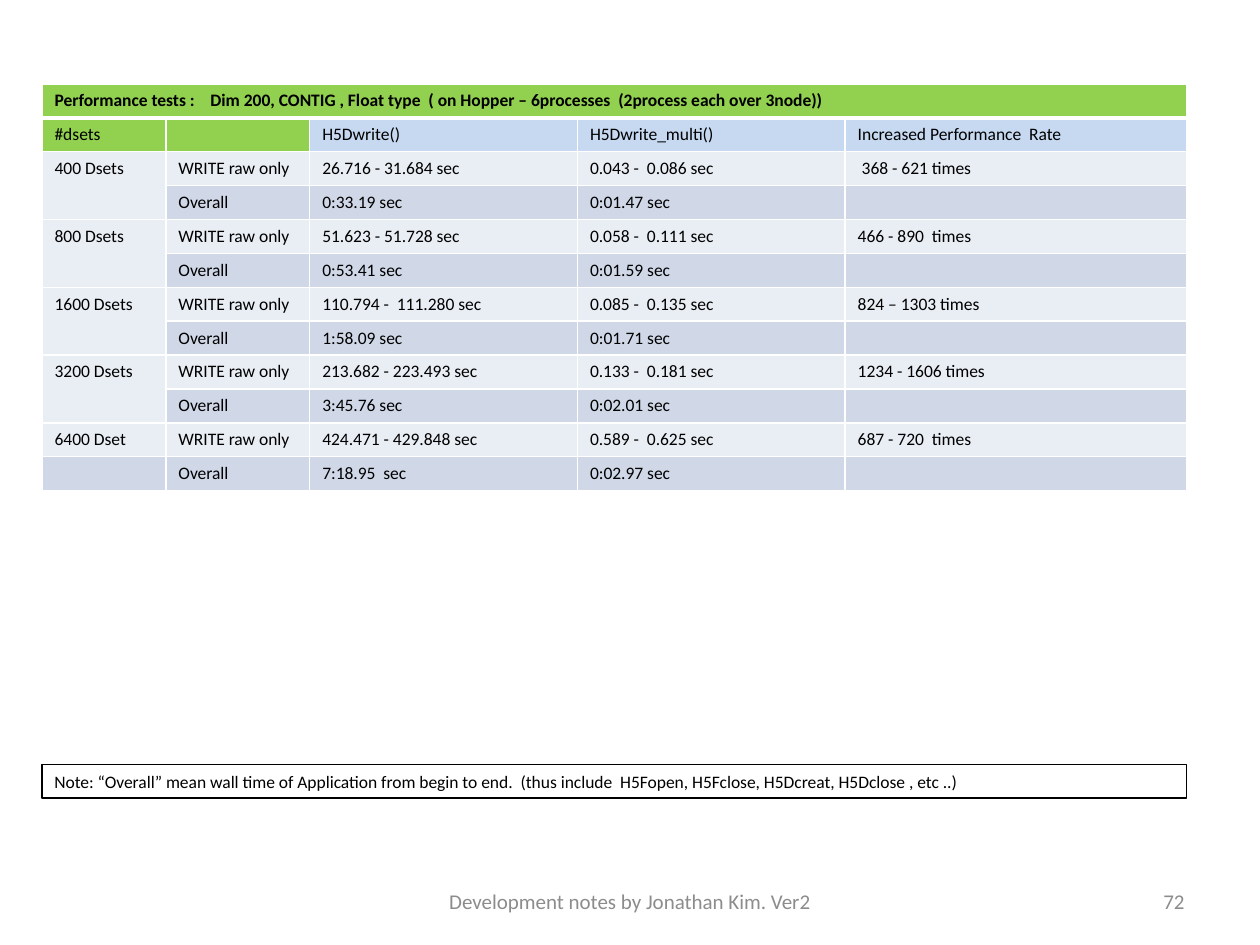
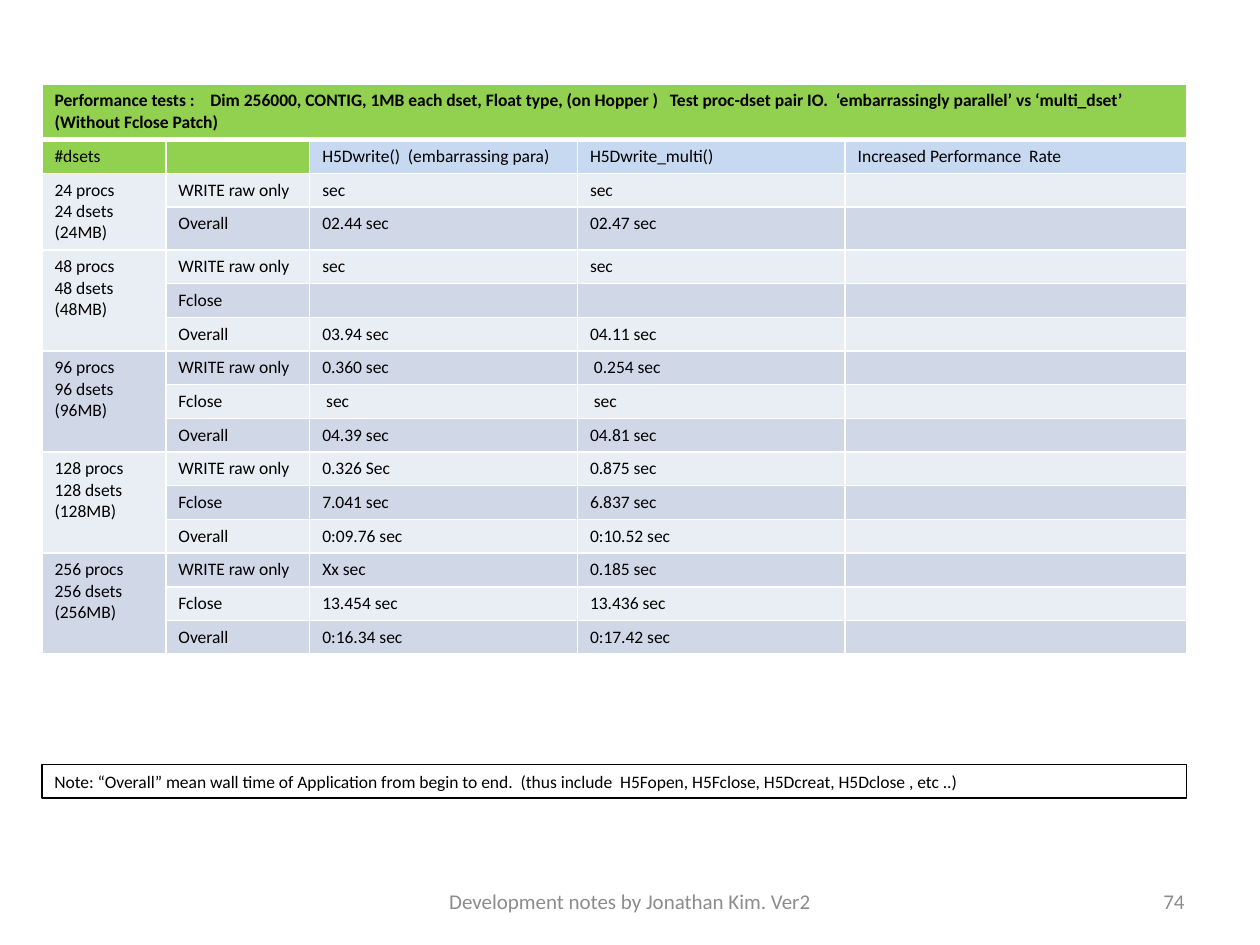
import pptx
import pptx.util
import pptx.dml.color
import pptx.enum.shapes
import pptx.enum.text
import pptx.oxml
import pptx.oxml.ns
from lxml import etree

RGBColor = pptx.dml.color.RGBColor
PP_ALIGN = pptx.enum.text.PP_ALIGN
MSO_ANCHOR = pptx.enum.text.MSO_ANCHOR
qn = pptx.oxml.ns.qn

BLACK = RGBColor(0x00, 0x00, 0x00)
WHITE = RGBColor(0xFF, 0xFF, 0xFF)
GREY = RGBColor(0x8C, 0x8C, 0x8C)
GREEN = RGBColor(0x92, 0xD0, 0x50)
SKY = RGBColor(0xC6, 0xD9, 0xF1)
BANDS = (RGBColor(0xE9, 0xED, 0xF4), RGBColor(0xD0, 0xD8, 0xE8))
FONT = "Calibri"

SLIDE_W, SLIDE_H = pptx.util.Inches(10), pptx.util.Inches(7.5)
UNIT = SLIDE_W / 120
ROW = 3.2
COLUMNS = (11.8, 13.7, 25.5, 25.5, 32.5)
TABLE_AT = (4, 8)
NOTE_BOX = (4, 72.8, 109, ROW)
FOOTER_BOX = (41, 83.4, 38, 4.8)
NUMBER_BOX = (86, 83.4, 28, 4.8)

NOTE = ("Note: “Overall” mean wall time of Application from begin to end.  "
        "(thus include  H5Fopen, H5Fclose, H5Dcreat, H5Dclose , etc ..)")
FOOTER = "Development notes by Jonathan Kim. Ver2"
RAW, FCLOSE, OVERALL = "WRITE raw only", "Fclose", "Overall"

DSET_TEST = {
    "number": "72",
    "title": "Performance tests :    Dim 200, CONTIG , Float type  "
             "( on Hopper – 6processes  (2process each over 3node))",
    "write": "H5Dwrite()",
    "tall": {},
    "groups": [
        ("400 Dsets", [(RAW, "26.716 - 31.684 sec", "0.043 -  0.086 sec", " 368 - 621 times"),
                       (OVERALL, "0:33.19 sec", "0:01.47 sec", "")]),
        ("800 Dsets", [(RAW, "51.623 - 51.728 sec", "0.058 -  0.111 sec", "466 - 890  times"),
                       (OVERALL, "0:53.41 sec", "0:01.59 sec", "")]),
        ("1600 Dsets", [(RAW, "110.794 -  111.280 sec", "0.085 -  0.135 sec", "824 – 1303 times"),
                        (OVERALL, "1:58.09 sec", "0:01.71 sec", "")]),
        ("3200 Dsets", [(RAW, "213.682 - 223.493 sec", "0.133 -  0.181 sec", "1234 - 1606 times"),
                        (OVERALL, "3:45.76 sec", "0:02.01 sec", "")]),
        ("6400 Dset", [(RAW, "424.471 - 429.848 sec", "0.589 -  0.625 sec", "687 - 720  times")]),
        ("", [(OVERALL, "7:18.95  sec", "0:02.97 sec", "")]),
    ],
}

PROC_TEST = {
    "number": "74",
    "title": "Performance tests :    Dim 256000, CONTIG, 1MB each dset, Float type, (on Hopper )   "
             "Test proc-dset pair IO.  ‘embarrassingly parallel’ vs ‘multi_dset’  (Without Fclose Patch)",
    "write": "H5Dwrite()  (embarrassing para)",
    "tall": {0: 5.3, 3: 4.1},
    "groups": [
        ("24 procs\n24 dsets\n(24MB)", [(RAW, "sec", "sec", ""),
                                        (OVERALL, "02.44 sec", "02.47 sec", "")]),
        ("48 procs\n48 dsets\n(48MB)", [(RAW, "sec", "sec", ""),
                                        (FCLOSE, "", "", ""),
                                        (OVERALL, "03.94 sec", "04.11 sec", "")]),
        ("96 procs\n96 dsets\n(96MB)", [(RAW, "0.360 sec", " 0.254 sec", ""),
                                        (FCLOSE, " sec", " sec", ""),
                                        (OVERALL, "04.39 sec", "04.81 sec", "")]),
        ("128 procs 128 dsets\n(128MB)", [(RAW, "0.326 Sec", "0.875 sec", ""),
                                          (FCLOSE, "7.041 sec", "6.837 sec", ""),
                                          (OVERALL, "0:09.76 sec", "0:10.52 sec", "")]),
        ("256 procs\n256 dsets\n(256MB)", [(RAW, "Xx sec", "0.185 sec", ""),
                                           (FCLOSE, "13.454 sec", "13.436 sec", ""),
                                           (OVERALL, "0:16.34 sec", "0:17.42 sec", "")]),
    ],
}


def units(*values):
    """Turn grid units into whole EMU lengths."""
    return [pptx.util.Emu(round(v * UNIT)) for v in values]


def write(tf, text, size=10, color=BLACK, bold=False, align=None, anchor=None):
    """Fill a text frame, one paragraph for each line of text."""
    tf.word_wrap = True
    if anchor is not None:
        tf.vertical_anchor = anchor
    for i, line in enumerate(text.split("\n")):
        p = tf.add_paragraph() if i else tf.paragraphs[0]
        p.alignment = align
        if not line:
            etree.SubElement(p._p, qn("a:endParaRPr"), sz=str(size * 100))
            continue
        r = p.add_run()
        r.text = line
        r.font.name, r.font.size, r.font.bold = FONT, pptx.util.Pt(size), bold
        r.font.color.rgb = color


def set_borders(cell, top=1, bottom=1):
    """Draw white borders round a cell, widths in points."""
    tcPr = cell._tc.get_or_add_tcPr()
    for side, width in (("L", 1), ("R", 1), ("T", top), ("B", bottom)):
        ln = etree.SubElement(tcPr, qn(f"a:ln{side}"), w=str(pptx.util.Pt(width)))
        fill = etree.SubElement(ln, qn("a:solidFill"))
        etree.SubElement(fill, qn("a:srgbClr"), val=str(WHITE))


def fill_cell(cell, text, color, bold=False, **borders):
    """Give a cell its borders, fill and text."""
    set_borders(cell, **borders)
    cell.fill.solid()
    cell.fill.fore_color.rgb = color
    write(cell.text_frame, text, bold=bold)


def add_results(s, test, at):
    """Build the results table with its top left corner at a grid point."""
    heads = ("#dsets", "", test["write"], "H5Dwrite_multi()", "Increased Performance  Rate")
    count = 2 + sum(len(rows) for _, rows in test["groups"])
    heights = [test["tall"].get(i, ROW) for i in range(count)]
    box = units(*at, sum(COLUMNS), sum(heights))
    table = s.shapes.add_table(count, len(COLUMNS), *box).table
    for column, width in zip(table.columns, units(*COLUMNS)):
        column.width = width
    for row, height in zip(table.rows, units(*heights)):
        row.height = height

    for c, head in enumerate(heads):
        fill_cell(table.cell(0, c), "" if c else test["title"], GREEN, bold=True, bottom=3)
        fill_cell(table.cell(1, c), head, GREEN if c < 2 else SKY, top=3)
    table.cell(0, 0).merge(table.cell(0, len(heads) - 1))

    first = 2
    for label, rows in test["groups"]:
        for i, values in enumerate(rows):
            for c, text in enumerate(("" if i else label, *values)):
                fill_cell(table.cell(first + i, c), text, BANDS[(first + i) % 2])
        if len(rows) > 1:
            table.cell(first, 0).merge(table.cell(first + len(rows) - 1, 0))
        first += len(rows)


def add_note(s, box):
    """Draw the outlined note in a grid box."""
    sp = s.shapes.add_shape(pptx.enum.shapes.MSO_SHAPE.RECTANGLE, *units(*box))
    sp.shadow.inherit = False
    sp.fill.background()
    sp.line.color.rgb = BLACK
    sp.line.width = pptx.util.Pt(0.75)
    write(sp.text_frame, NOTE, align=PP_ALIGN.LEFT, anchor=MSO_ANCHOR.TOP)


def add_footer(s, number):
    """Place the footer line and the page number."""
    for box, text, align in ((FOOTER_BOX, FOOTER, PP_ALIGN.CENTER),
                             (NUMBER_BOX, number, PP_ALIGN.RIGHT)):
        tf = s.shapes.add_textbox(*units(*box)).text_frame
        write(tf, text, size=12, color=GREY, align=align, anchor=MSO_ANCHOR.MIDDLE)


def add_test_slide(prs, test):
    """Add one slide of performance results."""
    s = prs.slides.add_slide(prs.slide_layouts[6])
    add_results(s, test, TABLE_AT)
    add_note(s, NOTE_BOX)
    add_footer(s, test["number"])


def main():
    """Build and save the presentation."""
    prs = pptx.Presentation()
    prs.slide_width, prs.slide_height = SLIDE_W, SLIDE_H
    for test in (DSET_TEST, PROC_TEST):
        add_test_slide(prs, test)
    prs.save("out.pptx")


if __name__ == "__main__":
    main()
